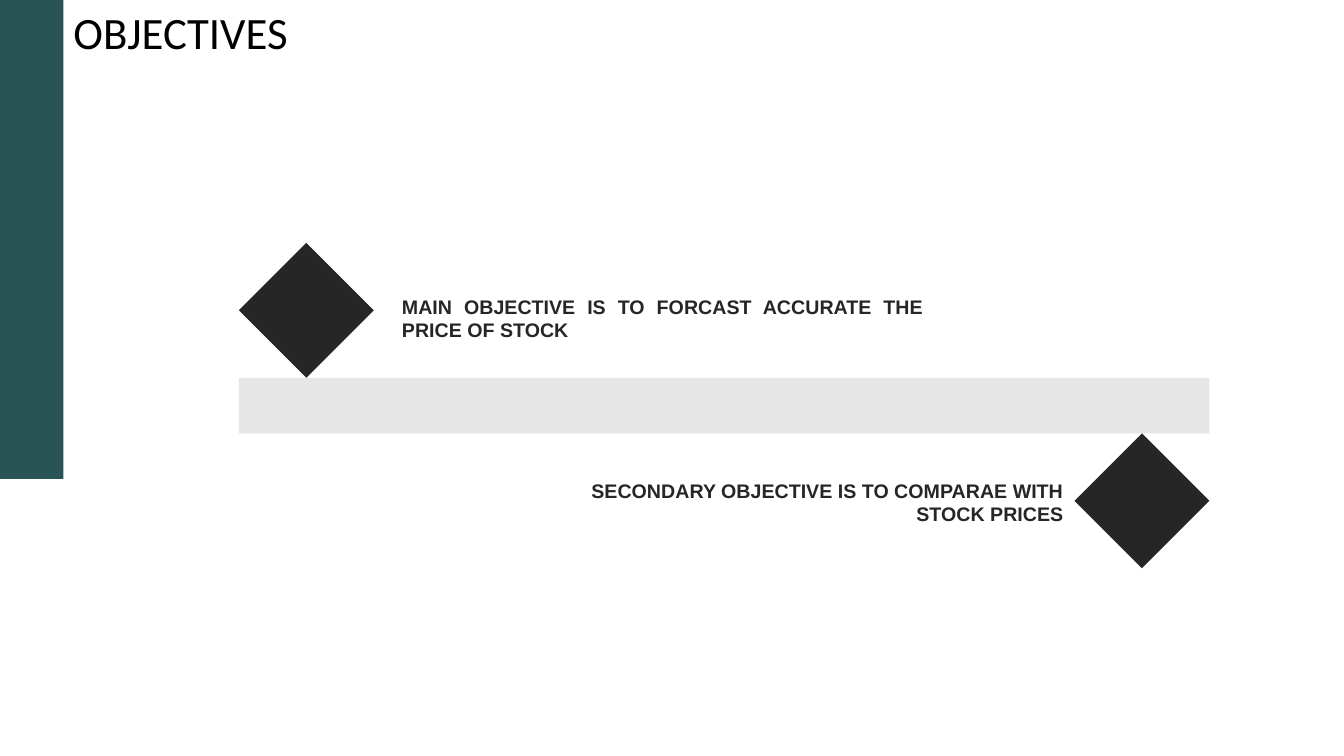
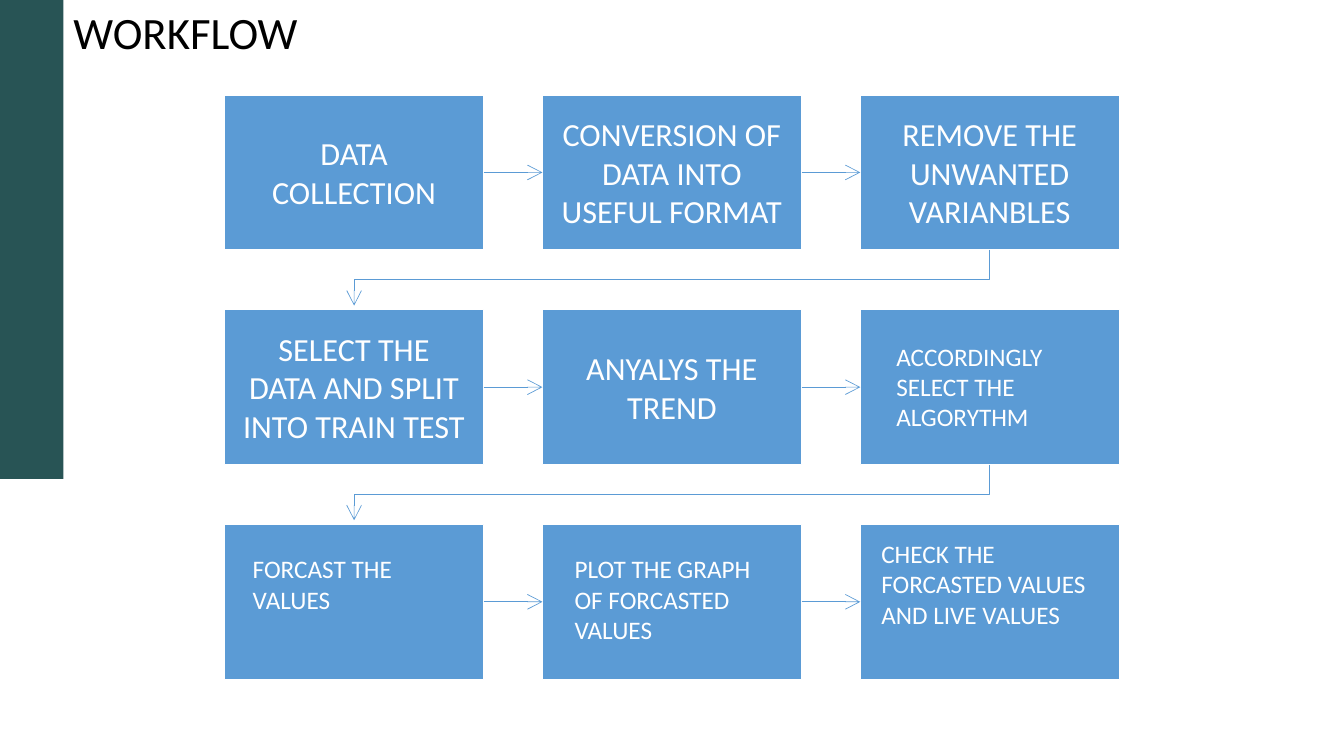
"""Build the objectives and workflow slides."""
import pptx
import pptx.dml.color
import pptx.enum.shapes
import pptx.enum.text
import pptx.oxml
import pptx.oxml.ns
import pptx.util

Cm = pptx.util.Cm
Pt = pptx.util.Pt
SHAPE = pptx.enum.shapes.MSO_SHAPE
ALIGN = pptx.enum.text.PP_ALIGN
ANCHOR = pptx.enum.text.MSO_ANCHOR

COLORS = {
    name: pptx.dml.color.RGBColor.from_string(value)
    for name, value in {
        "band": "285455", "bar": "E7E6E6", "dark": "262626",
        "step": "5B9BD5", "white": "FFFFFF", "black": "000000",
    }.items()
}


def add_block(page, kind, left, top, width, height, color):
    block = page.shapes.add_shape(kind, Cm(left), Cm(top), Cm(width), Cm(height))
    block.shadow.inherit = False
    block.fill.solid()
    block.fill.fore_color.rgb = COLORS[color]
    block.line.fill.background()
    return block


def write_text(box, text, size, font, color, align, margins, anchor=ANCHOR.TOP, bold=False):
    frame = box.text_frame
    frame.word_wrap = True
    frame.vertical_anchor = anchor
    frame.margin_left, frame.margin_top, frame.margin_right, frame.margin_bottom = map(Cm, margins)
    frame.text = text
    for para in frame.paragraphs:
        para.alignment = align
        para.font.size = Pt(size)
        para.font.name = font
        para.font.bold = bold
        para.font.color.rgb = COLORS[color]


deck = pptx.Presentation()
deck.slide_width = Cm(33.87)
deck.slide_height = Cm(19.05)

pages = []
for title in ("OBJECTIVES", "WORKFLOW"):
    page = deck.slides.add_slide(deck.slide_layouts[6])
    add_block(page, SHAPE.RECTANGLE, 0, 0, 1.6, 12.07, "band")
    box = page.shapes.add_textbox(Cm(1.6), 0, Cm(10.57), Cm(1.8))
    write_text(box, title, 32, "Calibri", "black", ALIGN.LEFT, (0.25, 0.13, 0.25, 0.13))
    pages.append(page)
objectives, workflow = pages

bar_left, bar_top, bar_width, bar_height = 6.02, 9.52, 24.46, 1.4
diamond = 3.4
add_block(objectives, SHAPE.RECTANGLE, bar_left, bar_top, bar_width, bar_height, "bar")
for diamond_left, diamond_top, text_left, text_top, align, text in (
    (bar_left, bar_top - diamond, 9.88, 7.42, ALIGN.JUSTIFY,
     "MAIN OBJECTIVE IS TO FORCAST ACCURATE THE PRICE OF STOCK"),
    (bar_left + bar_width - diamond, bar_top + bar_height, 13.41, 12.06, ALIGN.RIGHT,
     "SECONDARY OBJECTIVE IS TO COMPARAE WITH STOCK PRICES"),
):
    add_block(objectives, SHAPE.DIAMOND, diamond_left, diamond_top, diamond, diamond, "dark")
    box = objectives.shapes.add_textbox(Cm(text_left), Cm(text_top), Cm(13.64), Cm(1.65))
    write_text(box, text, 14, "Arial", "dark", align, (0.25, 0, 0.25, 0), bold=True)

step_width, step_height = 6.53, 3.91
first_left, first_top = 5.66, 2.39
column_pitch, row_pitch = 8.01, 5.41
columns = 3

centred_steps = (
    "DATA COLLECTION",
    "CONVERSION OF DATA INTO USEFUL FORMAT",
    "REMOVE THE UNWANTED VARIANBLES",
    "SELECT THE DATA AND SPLIT INTO TRAIN TEST",
    "ANYALYS THE TREND",
)
left_steps = (
    ("ACCORDINGLY SELECT THE ALGORYTHM", 0.91, 0.79),
    ("FORCAST THE VALUES", 0.71, 0.74),
    ("PLOT THE GRAPH\nOF FORCASTED VALUES", 0.81, 0.74),
    ("CHECK THE FORCASTED VALUES AND LIVE VALUES", 0.53, 0.36),
)

steps = []
for index in range(len(centred_steps) + len(left_steps)):
    row, column = divmod(index, columns)
    step = add_block(workflow, SHAPE.RECTANGLE, first_left + column * column_pitch,
                     first_top + row * row_pitch, step_width, step_height, "step")
    step.line.color.rgb = COLORS["white"]
    step.line.width = Pt(1)
    steps.append(step)

for step, text in zip(steps, centred_steps):
    write_text(step, text, 23, "Calibri", "white", ALIGN.CENTER, (0.46,) * 4, ANCHOR.MIDDLE)
for step, (text, left, top) in zip(steps[len(centred_steps):], left_steps):
    write_text(step, text, 18, "Calibri", "white", ALIGN.LEFT, (left, top, 0.8, 0))

for index, (start, end) in enumerate(zip(steps, steps[1:]), 1):
    if index % columns:
        arrow = workflow.shapes.add_connector(pptx.enum.shapes.MSO_CONNECTOR.STRAIGHT, 0, 0, 0, 0)
        arrow.begin_connect(start, 3)
        arrow.end_connect(end, 1)
        arrow._element.spPr.append(pptx.oxml.parse_xml(
            f'<a:effectLst {pptx.oxml.ns.nsdecls("a")}/>'))
    else:
        start_x = start.left + start.width // 2
        start_y = start.top + start.height
        end_x = end.left + end.width // 2
        middle_y = (start_y + end.top) // 2
        outline = workflow.shapes.build_freeform(start_x, start_y)
        outline.add_line_segments(
            [(start_x, middle_y), (end_x, middle_y), (end_x, end.top - Cm(0.1))], close=False)
        arrow = outline.convert_to_shape()
        arrow.shadow.inherit = False
        arrow.fill.background()
    arrow.line.color.rgb = COLORS["step"]
    arrow.line.width = Pt(0.5)
    arrow.line._get_or_add_ln().append(pptx.oxml.parse_xml(
        f'<a:tailEnd {pptx.oxml.ns.nsdecls("a")} type="arrow" w="lg" len="lg"/>'))

deck.save("out.pptx")
